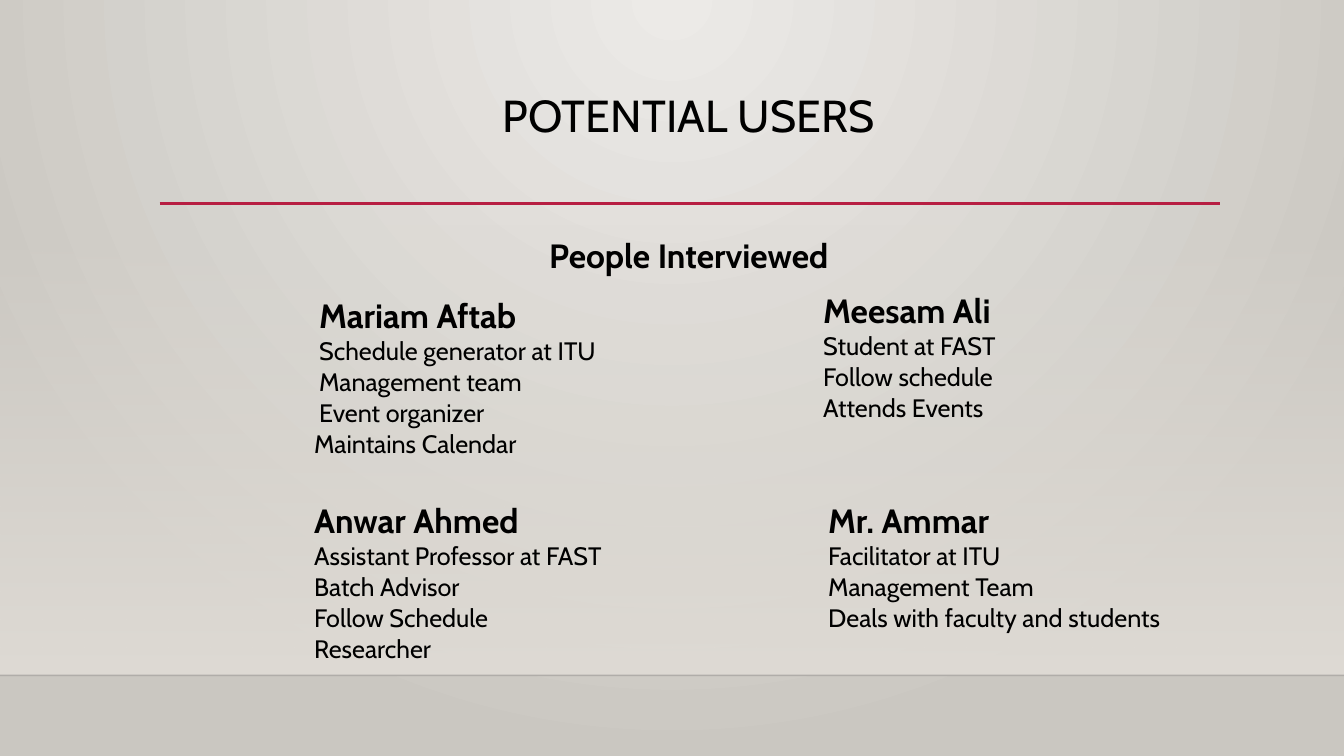
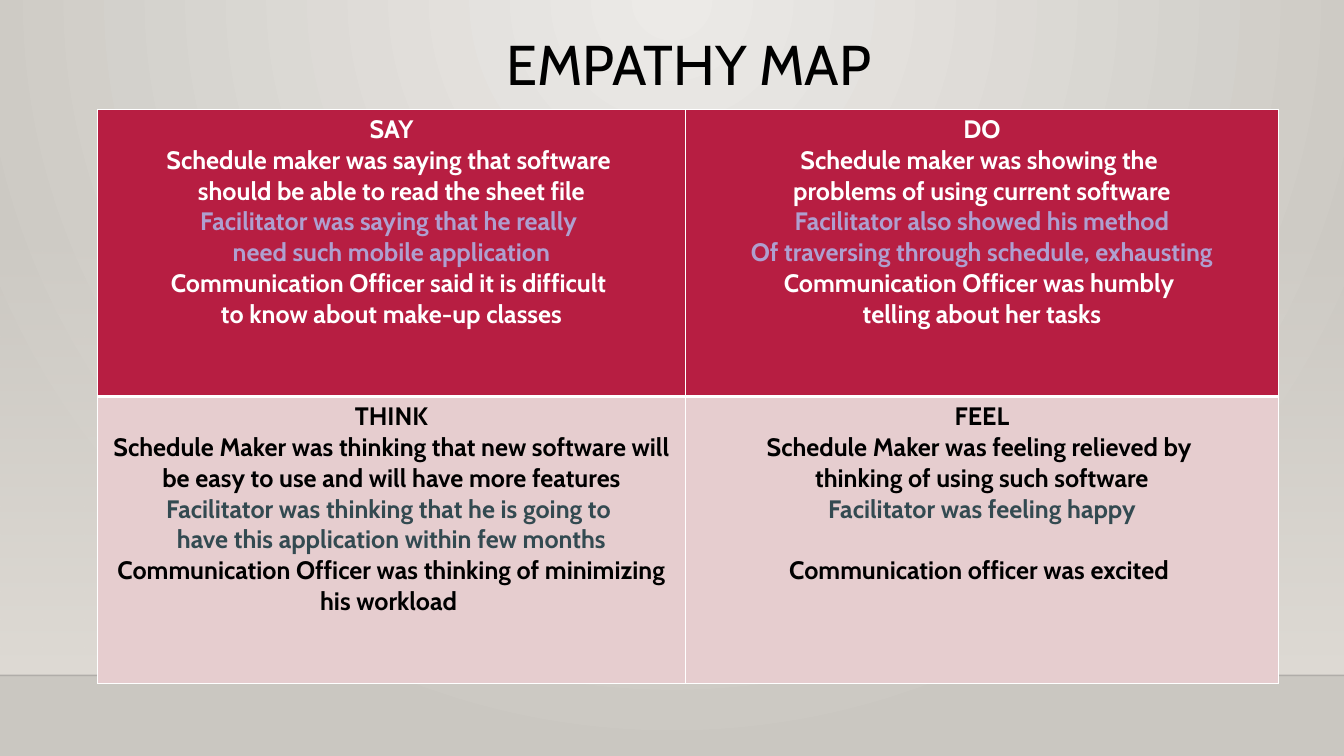
import pptx
import pptx.dml.color
import pptx.enum.shapes
import pptx.enum.text
import pptx.oxml
import pptx.oxml.ns
import pptx.util

FONT = "Cabin"
BLACK, WHITE, CRIMSON, PINK = "000000", "FFFFFF", "B71E42", "E6CDCF"
LILAC, SLATE = "AF9FCF", "334A51"
NO_STYLE = "{2D5ABB26-0587-4C30-8999-92F81FD0307C}"
NS = 'xmlns:a="http://schemas.openxmlformats.org/drawingml/2006/main"'
qn = pptx.oxml.ns.qn
CENTER = pptx.enum.text.PP_ALIGN.CENTER
STRAIGHT = pptx.enum.shapes.MSO_CONNECTOR.STRAIGHT


def rgb(value):
    return pptx.dml.color.RGBColor.from_string(value)


def write(p, text, size, color=BLACK, bold=False):
    r = p.add_run()
    r.text = text
    r.font.name = FONT
    r.font.size = pptx.util.Pt(size)
    r.font.bold = bold
    r.font.color.rgb = rgb(color)


# Slide size: a grid of 800 columns by 450 rows, G is one step
prs = pptx.Presentation()
G = pptx.util.Emu(15240)
prs.slide_width, prs.slide_height = 800 * G, 450 * G
layout = prs.slide_layouts[5]
for ph in list(layout.placeholders):
    if ph.placeholder_format.idx != 0:
        ph.element.getparent().remove(ph.element)

# Titles, one slide each
slides = []
for title, size, top in (("POTENTIAL USERS", 32, 53), ("EMPATHY MAP", 40, 19)):
    s = prs.slides.add_slide(layout)
    sp = s.shapes.title
    sp.left, sp.top, sp.width, sp.height = 95 * G, top * G, 630 * G, 69 * G
    tf = sp.text_frame
    tf.auto_size = pptx.enum.text.MSO_AUTO_SIZE.NONE
    tf.vertical_anchor = pptx.enum.text.MSO_ANCHOR.TOP
    p = tf.paragraphs[0]
    p.alignment = CENTER
    p.line_spacing = 0.9
    write(p, title, size)
    slides.append(s)
users, empathy = slides

# Shared backdrop: wall, floor line and title rule, kept on the layout
wall = users.shapes.add_shape(
    pptx.enum.shapes.MSO_SHAPE.RECTANGLE, 0, 133 * G, 800 * G, 269 * G)
wall.shadow.inherit = False
wall.line.fill.background()
backdrop = [wall]
for left, right, y, color, width in ((0, 800, 402, "000001", 1),
                                     (95, 726, 121, CRIMSON, 2.5)):
    line = users.shapes.add_connector(STRAIGHT, left * G, y * G, right * G, y * G)
    line.line.color.rgb = rgb(color)
    line.line.width = pptx.util.Pt(width)
    line.element.spPr.append(pptx.oxml.parse_xml(f"<a:effectLst {NS}/>"))
    backdrop.append(line)
floor_color = next(backdrop[1].element.iter(qn("a:srgbClr")))
floor_color.append(pptx.oxml.parse_xml(f'<a:alpha {NS} val="20000"/>'))
for sp in backdrop:
    layout.shapes.element.append(sp.element)

# Gradients of the background and the wall
for owner, fill, start, alpha, end, shade in (
        (layout.element, layout.background.fill, "ECEAE7", 100, "CAC7C1",
         '<a:path path="circle">'
         '<a:fillToRect l="43000" t="0" r="43000" b="100000"/></a:path>'),
        (wall.element, wall.fill, "DFDBD5", 0, "DFDBD5",
         '<a:lin ang="5400000" scaled="0"/>')):
    fill.solid()
    fill.fore_color.rgb = rgb(start)
    solid = next(owner.iter(qn("a:solidFill")))
    solid.getparent().replace(solid, pptx.oxml.parse_xml(
        f'<a:gradFill {NS} rotWithShape="1"><a:gsLst>'
        f'<a:gs pos="0"><a:srgbClr val="{start}"><a:alpha val="{alpha * 1000}"/>'
        f'</a:srgbClr></a:gs><a:gs pos="100000"><a:srgbClr val="{end}"/></a:gs>'
        f'</a:gsLst>{shade}</a:gradFill>'))

# Tables, both two by two and without a style
tables = []
for s, left, top, widths, heights in (
        (users, 181, 170, (303, 303), (125, 103)),
        (empathy, 58, 65, (350, 353), (171, 171))):
    table = s.shapes.add_table(2, 2, left * G, top * G,
                               sum(widths) * G, sum(heights) * G).table
    table.first_row = table.horz_banding = False
    next(table._tbl.iter(qn("a:tableStyleId"))).text = NO_STYLE
    for i in range(2):
        table.columns[i].width = widths[i] * G
        table.rows[i].height = heights[i] * G
    tables.append(table)
people, quadrants = tables

# Potential users: subtitle
tf = users.shapes.add_textbox(95 * G, 132 * G, 630 * G, 30 * G).text_frame
tf.word_wrap = True
p = tf.paragraphs[0]
p.alignment = CENTER
p.line_spacing = 1.2
p.space_before = pptx.util.Pt(10)
write(p, "People Interviewed", 24, bold=True)

# Potential users: name, duties, and how many lines are indented
interviews = (
    ("Mariam Aftab", ("Schedule generator at ITU", "Management team",
                      "Event organizer", "Maintains Calendar"), 4),
    ("Meesam Ali", ("Student at FAST", "Follow schedule", "Attends Events"), 0),
    ("Anwar Ahmed", ("Assistant Professor at FAST", "Batch Advisor",
                     "Follow Schedule", "Researcher"), 0),
    ("Mr. Ammar", ("Facilitator at ITU", "Management Team",
                   "Deals with faculty and students"), 4),
)
for cell, (name, duties, indented) in zip(people.iter_cells(), interviews):
    cell.fill.background()
    tf = cell.text_frame
    for i, text in enumerate((name, *duties)):
        p = tf.add_paragraph() if i else tf.paragraphs[0]
        if i < indented:
            p._p.get_or_add_pPr().set("marL", str(3 * G))
        write(p, text, 18 if i else 24, bold=i == 0)
people.cell(0, 0).margin_top = 6 * G

# Empathy map: heading, then schedule maker, facilitator, officer
views = (
    (("SAY",),
     ("Schedule maker was saying that software ",
      "should be able to read the sheet file"),
     ("Facilitator was saying that he really ", "need such mobile application"),
     ("Communication Officer said it is difficult ",
      "to know about make-up classes")),
    (("DO",),
     ("Schedule maker was showing the ", "problems of using current software"),
     ("Facilitator also showed his method",
      "Of traversing through schedule, exhausting"),
     ("Communication Officer was humbly ", "telling about her tasks")),
    (("THINK",),
     ("Schedule Maker was thinking that new software will be easy to use "
      "and will have more features",),
     ("Facilitator was thinking that he is going to ",
      "have this application within few months"),
     ("Communication Officer was thinking of minimizing his workload ",)),
    (("FEEL",),
     ("Schedule Maker was feeling relieved by ", "thinking of using such software"),
     ("Facilitator was feeling happy",),
     ("Communication officer was excited ",)),
)
row_colors = ((CRIMSON, WHITE, LILAC), (PINK, BLACK, SLATE))
for n, (cell, groups) in enumerate(zip(quadrants.iter_cells(), views)):
    back, plain, accent = row_colors[n // 2]
    cell.fill.solid()
    cell.fill.fore_color.rgb = rgb(back)
    tcPr = cell._tc.get_or_add_tcPr()
    for i, side in enumerate("LRTB"):
        middle = (n // 2, side) in ((0, "B"), (1, "T"))
        tcPr.insert(i, pptx.oxml.parse_xml(
            f'<a:ln{side} {NS} w="{38100 if middle else 12700}"><a:solidFill>'
            f'<a:srgbClr val="{WHITE}"/></a:solidFill></a:ln{side}>'))
    tf = cell.text_frame
    p = tf.paragraphs[0]
    for g, lines in enumerate(groups):
        for text in lines:
            if p.runs:
                p = tf.add_paragraph()
            p.alignment = CENTER
            write(p, text, 18, accent if g == 2 else plain, True)
# One line of space above the last view
p.space_before = pptx.util.Pt(22)

prs.save("out.pptx")
